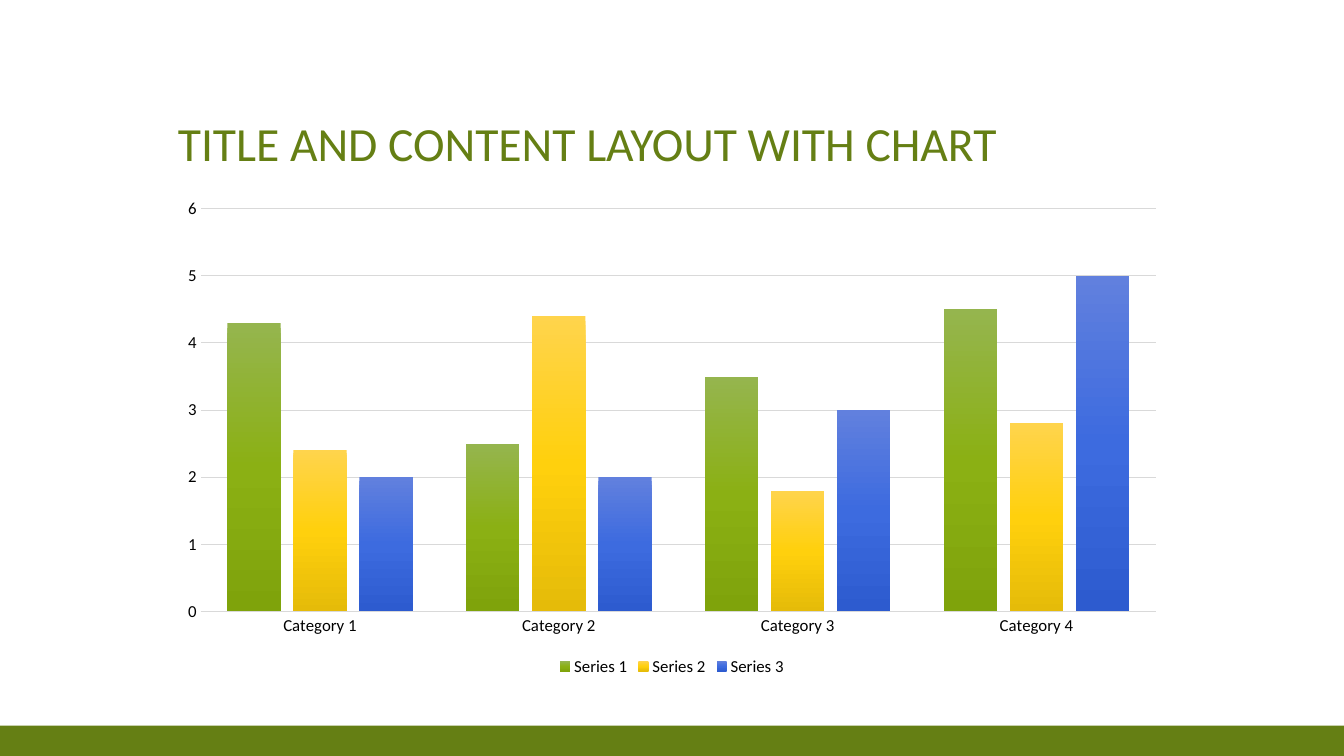
from copy import deepcopy

from pptx import Presentation
from pptx.chart.data import CategoryChartData
from pptx.dml.color import RGBColor
from pptx.enum.chart import XL_CHART_TYPE, XL_LEGEND_POSITION, XL_TICK_MARK
from pptx.enum.shapes import MSO_SHAPE
from pptx.enum.text import MSO_ANCHOR
from pptx.oxml.ns import qn
from pptx.util import Inches, Pt

GREEN, BLACK, GRID_GREY = "657F14", "000000", "D9D9D9"


def color(hex_string):
    return RGBColor.from_string(hex_string)


def style_font(font, size, hex_string):
    for name, value in {"name": "Calibri", "size": Pt(size)}.items():
        setattr(font, name, value)
    font.color.rgb = color(hex_string)


deck = Presentation()
deck.slide_width, deck.slide_height = Inches(13.33), Inches(7.5)
slide = deck.slides.add_slide(deck.slide_layouts[6])

# Page grid: an eighth of the width as margin, a 25th of the height as footer
margin = int(deck.slide_width / 8)
content_width = deck.slide_width - 2 * margin
footer_height = int(deck.slide_height / 25)

# Footer band
footer = slide.shapes.add_shape(
    MSO_SHAPE.RECTANGLE, 0, deck.slide_height - footer_height,
    deck.slide_width, footer_height)
footer.shadow.inherit = False
footer.fill.solid()
footer.fill.fore_color.rgb = color(GREEN)
footer.line.fill.background()

# Title
title = slide.shapes.add_textbox(
    margin, int(deck.slide_height / 15), content_width, int(deck.slide_height / 6))
for name, value in {"word_wrap": True, "vertical_anchor": MSO_ANCHOR.BOTTOM}.items():
    setattr(title.text_frame, name, value)
heading = title.text_frame.paragraphs[0]
heading.line_spacing = 0.9
heading_run = heading.add_run()
heading_run.text = "TITLE AND CONTENT LAYOUT WITH CHART"
style_font(heading_run.font, 34, GREEN)

# Chart values, with each series' gradient from top to bottom
series_rows = [
    ("Series 1", (4.3, 2.5, 3.5, 4.5), ("95B54E", "8BB014", "7FA30B")),
    ("Series 2", (2.4, 4.4, 1.8, 2.8), ("FFD44C", "FFD00D", "E5BB09")),
    ("Series 3", (2, 2, 3, 5), ("6180DE", "3D6BDF", "2D5BCF")),
]
values = CategoryChartData()
values.categories = [f"Category {number}" for number in range(1, 5)]
for name, numbers, _ in series_rows:
    values.add_series(name, numbers)

chart = slide.shapes.add_chart(
    XL_CHART_TYPE.COLUMN_CLUSTERED, margin, int(deck.slide_height * 0.25),
    content_width, int(deck.slide_height * 0.65), values).chart
chart.has_title = False
style_font(chart.font, 10, "595959")

# Columns
columns = chart.plots[0]
for name, value in {"gap_width": 100, "overlap": -24, "vary_by_categories": False}.items():
    setattr(columns, name, value)
for series, (_, _, shades) in zip(columns.series, series_rows):
    fill = series.format.fill
    fill.gradient()
    fill.gradient_angle = 270
    stops = series.format.element.find(".//" + qn("a:gsLst")) if hasattr(
        series.format, "element") else next(series._element.iter(qn("a:gsLst")))
    stops.append(deepcopy(stops[0]))
    for index, (stop, shade) in enumerate(zip(fill.gradient_stops, shades)):
        stop.position = index / 2
        stop.color.rgb = color(shade)

# Axes
for axis in (chart.category_axis, chart.value_axis):
    axis.major_tick_mark = axis.minor_tick_mark = XL_TICK_MARK.NONE
    style_font(axis.tick_labels.font, 12, BLACK)
value_axis = chart.value_axis
for name, value in {"minimum_scale": 0, "maximum_scale": 6, "major_unit": 1,
                    "has_major_gridlines": True}.items():
    setattr(value_axis, name, value)
value_axis.format.line.fill.background()
for line in (chart.category_axis.format.line, value_axis.major_gridlines.format.line):
    line.color.rgb = color(GRID_GREY)
    line.width = Pt(0.75)

# Legend
chart.has_legend = True
for name, value in {"position": XL_LEGEND_POSITION.BOTTOM,
                    "include_in_layout": False}.items():
    setattr(chart.legend, name, value)
style_font(chart.legend.font, 12, BLACK)

deck.save("out.pptx")
